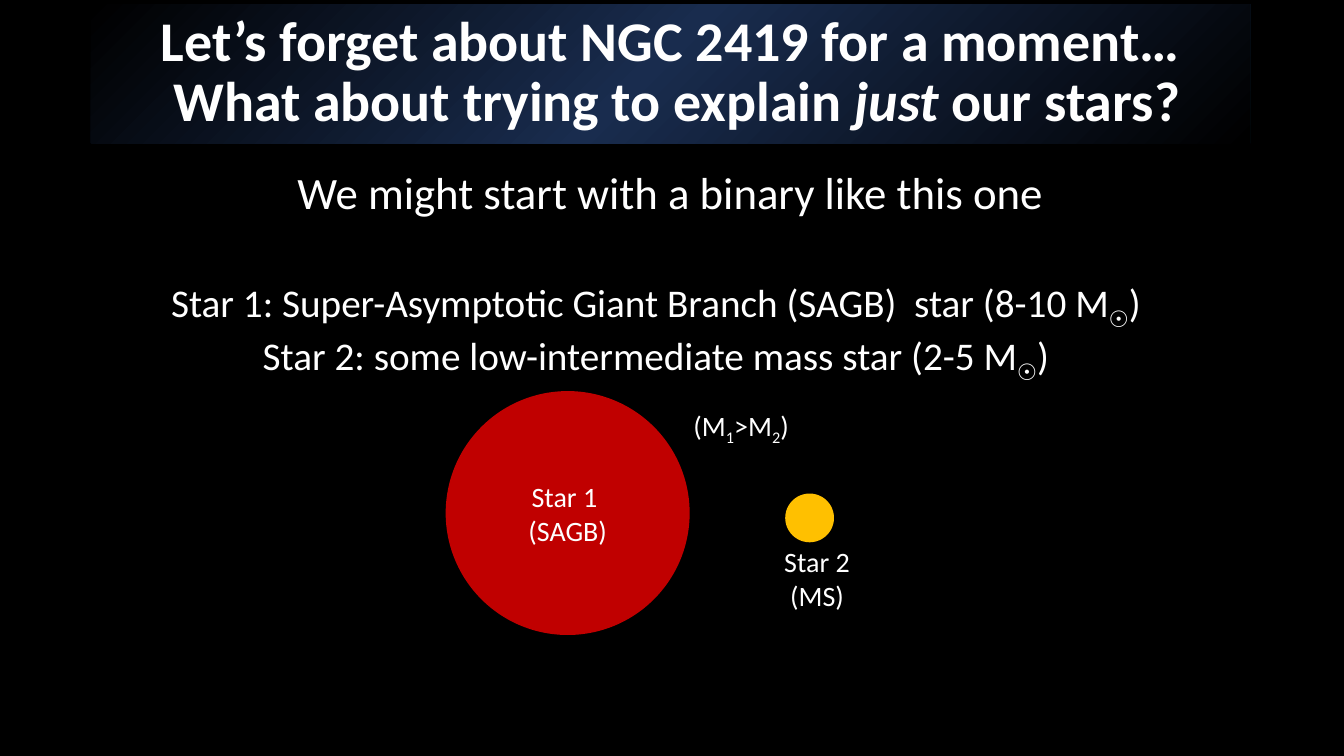
from lxml import etree
from pptx import Presentation
from pptx import util as u
from pptx.dml.color import RGBColor
from pptx.enum import shapes, text
from pptx.oxml import ns

SLIDE_WIDTH, SLIDE_HEIGHT = u.Inches(13.33), u.Inches(7.5)
WHITE, BLACK, NAVY, RED, AMBER = "FFFFFF", "000000", "192C4E", "C00000", "FFC000"
FONT = "Calibri"


def paint(color_format, hex_color):
    color_format.rgb = RGBColor.from_string(hex_color)


def part_of(box, left, top, width, height):
    x, y, w, h = box
    return [int(v) for v in (x + w * left, y + h * top, w * width, h * height)]


def percent_of_slide(*shares):
    whole = (0, 0, SLIDE_WIDTH, SLIDE_HEIGHT)
    return part_of(whole, *(share / 100 for share in shares))


def write(frame, lines, size, align=text.PP_ALIGN.CENTER, bold=False, spacing=None):
    frame.word_wrap = True
    for index, line in enumerate(lines):
        paragraph = frame.paragraphs[0] if index == 0 else frame.add_paragraph()
        paragraph.alignment = align
        paragraph.line_spacing = spacing
        paragraph.space_before = u.Pt(0)
        for words, style in line:
            run = paragraph.add_run()
            run.text = words
            run.font.name, run.font.size, run.font.bold = FONT, u.Pt(size), bold
            paint(run.font.color, WHITE)
            if style == "italic":
                run.font.italic = True
            elif style == "sub":
                run.font._element.set("baseline", "-25000")


def add_text(slide, box, lines, size, align=text.PP_ALIGN.CENTER):
    frame = slide.shapes.add_textbox(*box).text_frame
    write(frame, lines, size, align)


def add_star(slide, box, hex_color):
    star = slide.shapes.add_shape(shapes.MSO_SHAPE.OVAL, *box)
    star.shadow.inherit = False
    star.fill.solid()
    paint(star.fill.fore_color, hex_color)
    star.line.fill.background()
    return star


def add_radial_fill(shape, stops):
    shape.fill.gradient()
    gradient = shape._element.spPr.find(ns.qn("a:gradFill"))
    for child in list(gradient):
        gradient.remove(child)
    stop_list = etree.SubElement(gradient, ns.qn("a:gsLst"))
    for position, hex_color in stops:
        stop = etree.SubElement(stop_list, ns.qn("a:gs"), pos=str(position * 1000))
        etree.SubElement(stop, ns.qn("a:srgbClr"), val=hex_color)
    circle = etree.SubElement(gradient, ns.qn("a:path"), path="circle")
    etree.SubElement(circle, ns.qn("a:fillToRect"), l="100000", t="100000")


def add_title(slide, box):
    title = slide.shapes.title
    title.left, title.top, title.width, title.height = box
    add_radial_fill(title, [(0, BLACK), (52, NAVY), (100, BLACK)])
    title.text_frame.auto_size = text.MSO_AUTO_SIZE.NONE
    title.text_frame.vertical_anchor = text.MSO_ANCHOR.MIDDLE
    lines = [
        [("Let’s forget about NGC 2419 for a moment…", "")],
        [(" What about trying to explain ", ""), ("just", "italic"), (" our stars?", "")],
    ]
    write(title.text_frame, lines, 40, bold=True, spacing=0.9)


def add_star_descriptions(slide, box):
    descriptions = [
        "Star 1: Super-Asymptotic Giant Branch (SAGB)  star (8-10 M",
        "Star 2: some low-intermediate mass star (2-5 M",
    ]
    lines = [[(words, ""), ("☉", "sub"), (")", "")] for words in descriptions]
    add_text(slide, box, lines, 28)


def add_binary(slide, box):
    aspect = box[3] / box[2]
    giant = add_star(slide, part_of(box, 0, 0, aspect, 1), RED)
    giant.text_frame.vertical_anchor = text.MSO_ANCHOR.MIDDLE
    write(giant.text_frame, [[("Star 1 ", "")], [("(SAGB)", "")]], 20)
    add_star(slide, part_of(box, 0.8, 0.42, 0.2 * aspect, 0.2), AMBER)
    mass_order = [("(M", ""), ("1", "sub"), (">M", ""), ("2", "sub"), (")", "")]
    add_text(slide, part_of(box, 0.56, 0.05, 0.38, 0.18), [mass_order], 20, text.PP_ALIGN.LEFT)
    companion = [[("Star 2", "")], [("(MS)", "")]]
    add_text(slide, part_of(box, 0.75, 0.61, 0.25, 0.32), companion, 20)


def main():
    deck = Presentation()
    deck.slide_width, deck.slide_height = SLIDE_WIDTH, SLIDE_HEIGHT
    slide = deck.slides.add_slide(deck.slide_layouts.get_by_name("Title Only"))
    slide.background.fill.solid()
    paint(slide.background.fill.fore_color, BLACK)
    add_title(slide, percent_of_slide(6.75, 0.53, 86.27, 18.4))
    intro = [[("We might start with a binary like this one", "")]]
    add_text(slide, percent_of_slide(10.43, 21.07, 78.92, 8.53), intro, 32)
    add_star_descriptions(slide, percent_of_slide(10.43, 36.13, 76.74, 13.87))
    add_binary(slide, percent_of_slide(33.16, 51.73, 31.58, 32.27))
    deck.save("out.pptx")


if __name__ == "__main__":
    main()
